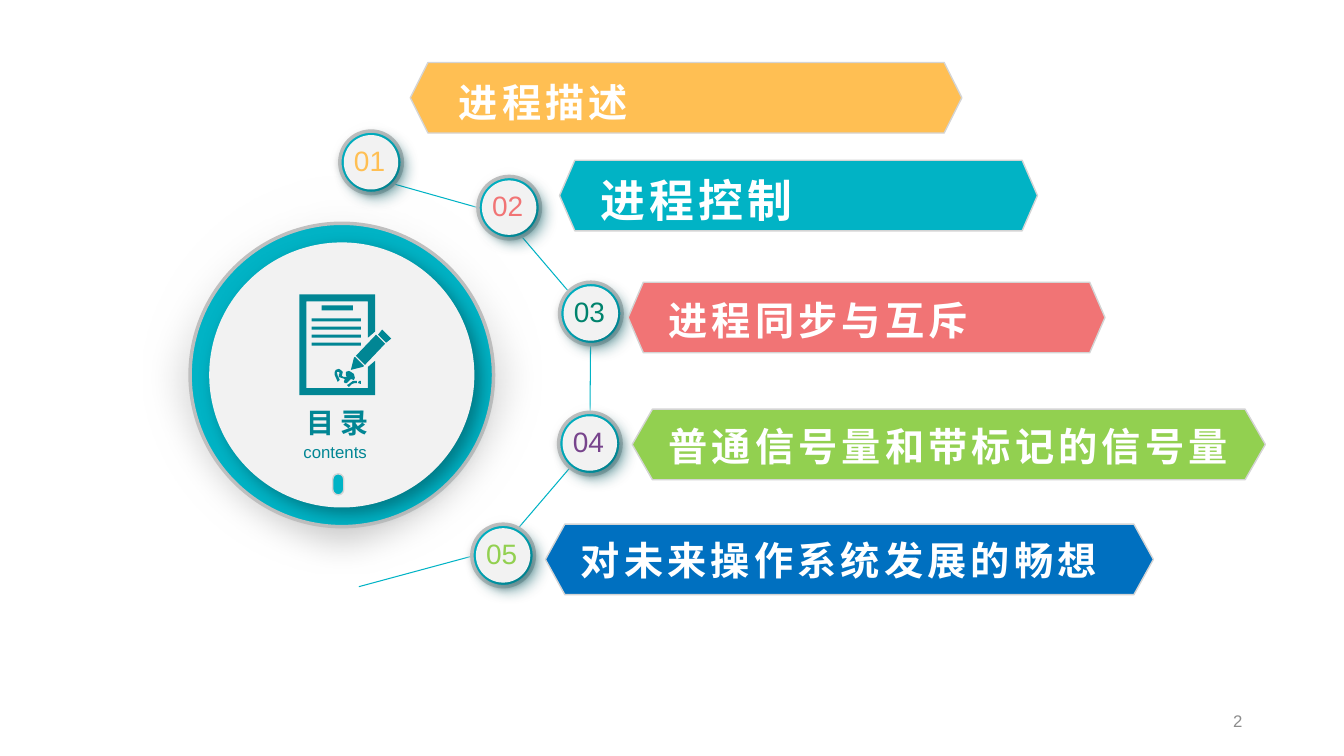
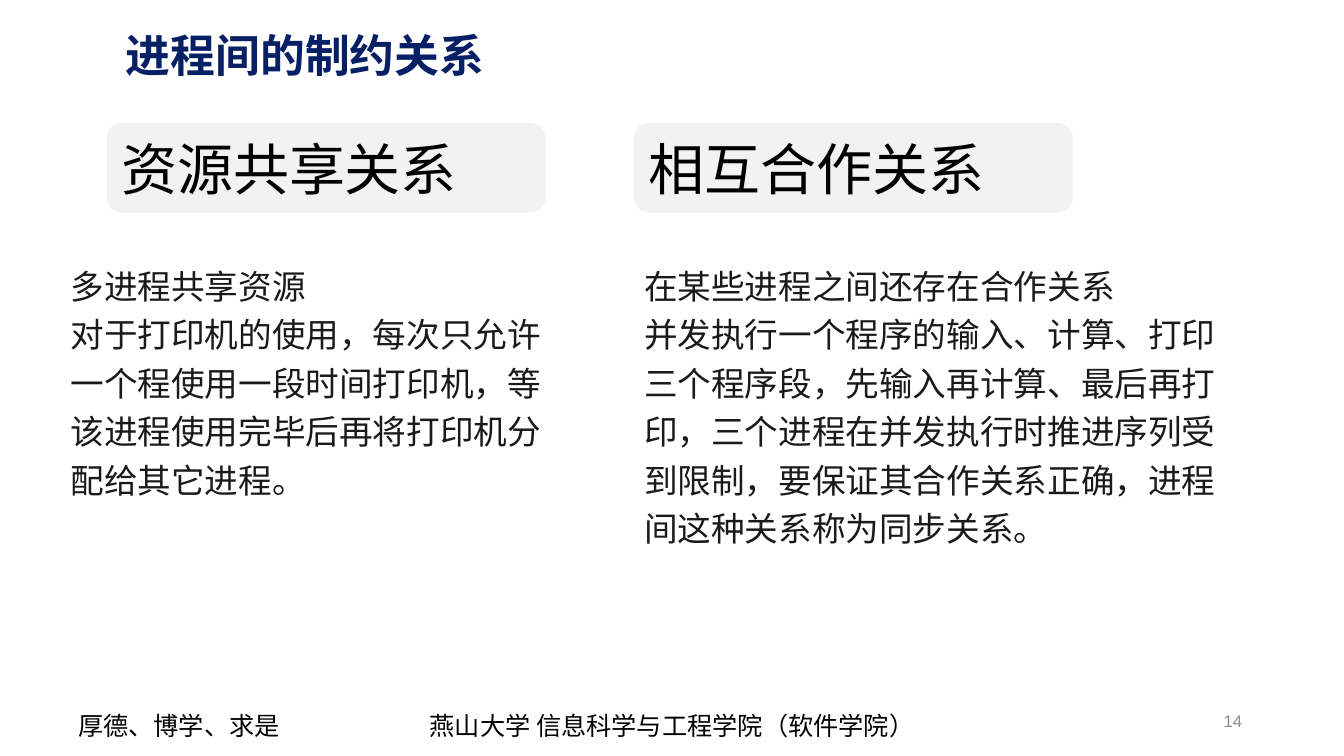
import pptx
import pptx.util
import pptx.dml.color
import pptx.enum.shapes
import pptx.enum.text
import pptx.oxml.ns
import lxml.etree

Inches, Pt = pptx.util.Inches, pptx.util.Pt
Kind = pptx.enum.shapes.MSO_SHAPE
Align = pptx.enum.text.PP_ALIGN
Anchor = pptx.enum.text.MSO_ANCHOR
qn = pptx.oxml.ns.qn

# Shared look
TEAL, INK, PALE, GREY = "01B3C5", "018694", "F2F2F2", "BFBFBF"
WHITE, BLACK, NAVY, BODY = "FFFFFF", "000000", "071F65", "1A1A1A"
EDGE, SHADE, PAGE = "D4D4D4", "005962", "8C8C8C"
SANS, CJK, HEAD = "Arial", "Noto Sans CJK SC", "Montserrat"

# Agenda: number, its colour, disc centre, band colour, band left, top, width,
# title, title offset in the band, title size
AGENDA = [
    ("01", "FFBF53", (3.68, 1.61), "FFBF53", (4.07, 0.62, 5.47),
     "进程描述", (0.48, 0.16), 28),
    ("02", "F17475", (5.05, 2.06), TEAL, (5.55, 1.59, 4.74),
     "进程控制", (0.41, 0.12), 32),
    ("03", "00836D", (5.86, 3.11), "F17475", (6.23, 2.80, 4.73),
     "进程同步与互斥", (0.40, 0.14), 28),
    ("04", "77448C", (5.85, 4.40), "92D050", (6.27, 4.06, 6.28),
     "普通信号量和带标记的信号量", (0.36, 0.13), 28),
    ("05", "92D050", (4.99, 5.51), "0070C0", (5.41, 5.20, 6.03),
     "对未来操作系统发展的畅想", (0.35, 0.12), 28),
]
TRACK = [(3.57, 1.73), (4.99, 2.13), (5.86, 3.15),
         (5.85, 4.41), (4.97, 5.44), (3.56, 5.82)]
HUB = (3.39, 3.72)

# Document icon: sheet, pen parts and signature
SHEET = [(3.65, 3.64), (3.65, 3.85), (3.04, 3.85), (3.04, 2.99), (3.65, 2.99),
         (3.65, 3.35), (3.72, 3.29), (3.72, 2.92), (2.97, 2.92), (2.97, 3.92),
         (3.72, 3.92), (3.72, 3.58)]
PEN = [
    [(3.79, 3.27), (3.75, 3.32), (3.83, 3.40), (3.88, 3.36)],
    [(3.53, 3.53), (3.62, 3.62), (3.82, 3.41), (3.73, 3.32)],
    [(3.61, 3.63), (3.52, 3.54), (3.51, 3.55), (3.48, 3.67), (3.60, 3.64)],
]
SIGN = [
    [(3.42, 3.80), (3.44, 3.80), (3.48, 3.76), (3.51, 3.77), (3.52, 3.75),
     (3.51, 3.71), (3.48, 3.69), (3.46, 3.68), (3.43, 3.69), (3.43, 3.72),
     (3.44, 3.74), (3.41, 3.74), (3.39, 3.73), (3.40, 3.69), (3.38, 3.67),
     (3.36, 3.66), (3.33, 3.67), (3.32, 3.69), (3.32, 3.72), (3.35, 3.79),
     (3.37, 3.77), (3.35, 3.73), (3.34, 3.69), (3.36, 3.69), (3.37, 3.70),
     (3.36, 3.72), (3.36, 3.74), (3.39, 3.75), (3.42, 3.76), (3.41, 3.79)],
    [(3.54, 3.80), (3.54, 3.78), (3.50, 3.78), (3.46, 3.81), (3.44, 3.82),
     (3.46, 3.84), (3.49, 3.81), (3.52, 3.80)],
    [(3.58, 3.81), (3.58, 3.78), (3.56, 3.78), (3.55, 3.80)],
]

# Relations: heading, left of heading, left and size of body, paragraphs
TITLE = "进程间的制约关系"
PARTS = [
    ("资源共享关系", 1.06, (0.60, 5.11, 2.52),
     ["多进程共享资源",
      "对于打印机的使用，每次只允许一个程使用一段时间打印机，"
      "等该进程使用完毕后再将打印机分配给其它进程。"]),
    ("相互合作关系", 6.29, (6.29, 6.03, 3.01),
     ["在某些进程之间还存在合作关系",
      "并发执行一个程序的输入、计算、打印三个程序段，先输入再计算、"
      "最后再打印，三个进程在并发执行时推进序列受到限制，"
      "要保证其合作关系正确，进程间这种关系称为同步关系。"]),
]
FOOTER = [("厚德、博学、求是", 0.40, 2.75),
          ("燕山大学 信息科学与工程学院（软件学院）", 3.48, 6.37)]


def color(code):
    return pptx.dml.color.RGBColor.from_string(code)


def paint(shape, fill=None, line=None, width=1):
    """Set fill and outline, and drop the theme shadow."""
    shape.shadow.inherit = False
    if fill:
        shape.fill.solid()
        shape.fill.fore_color.rgb = color(fill)
    else:
        shape.fill.background()
    if line:
        shape.line.color.rgb = color(line)
        shape.line.width = Pt(width)
    else:
        shape.line.fill.background()
    return shape


def effect(shape, tag, **attrs):
    """Add one effect to the shape's effect list."""
    root = shape._element.spPr.find(qn("a:effectLst"))
    node = lxml.etree.SubElement(root, qn(tag))
    for name, value in attrs.items():
        node.set(name, str(value))
    return node


def write(shape, paras, size, code, font=SANS, bold=False, align=Align.LEFT,
          anchor=Anchor.TOP, inset=None, wrap=True, lead=None, track=0):
    """Fill a shape's text frame, one run per paragraph."""
    frame = shape.text_frame
    frame.word_wrap = wrap
    frame.vertical_anchor = anchor
    if inset is not None:
        frame.margin_left = frame.margin_right = Inches(inset)
        frame.margin_top = frame.margin_bottom = Inches(inset)
    for i, text in enumerate(paras):
        para = frame.paragraphs[0] if i == 0 else frame.add_paragraph()
        para.alignment = align
        if lead:
            para.line_spacing = lead
        run = para.add_run()
        run.text = text
        run.font.size = Pt(size)
        run.font.bold = bold
        run.font.color.rgb = color(code)
        run.font.name = font
        props = run._r.get_or_add_rPr()
        if track:
            props.set("spc", str(track * 100))
        lxml.etree.SubElement(props, qn("a:ea")).set("typeface", CJK)


def label(slide, x, y, w, h, paras, size, code, **style):
    box = slide.shapes.add_textbox(Inches(x), Inches(y), Inches(w), Inches(h))
    write(box, paras, size, code, **style)


def number(slide, text):
    label(slide, 9.42, 6.95, 3, 0.4, [text], 12, PAGE,
          align=Align.RIGHT, anchor=Anchor.MIDDLE)


def outline(slide, loops, close=True):
    """Draw one freeform from lists of points in inches."""
    pen = None
    for loop in loops:
        pts = [(Inches(x), Inches(y)) for x, y in loop]
        if pen is None:
            pen = slide.shapes.build_freeform(*pts[0])
        else:
            pen.move_to(*pts[0])
        pen.add_line_segments(pts[1:], close=close)
    return pen.convert_to_shape()


def block(slide, kind, x, y, w, h, fill, line=None, width=1):
    shape = slide.shapes.add_shape(
        kind, Inches(x), Inches(y), Inches(w), Inches(h))
    return paint(shape, fill, line, width)


def round_at(slide, mid, size, fill, line=None, width=1):
    return block(slide, Kind.OVAL, mid[0] - size / 2, mid[1] - size / 2,
                 size, size, fill, line, width)


def disc(slide, mid, halo, ring, face, blur):
    """Soft grey halo, teal ring and pale face around one centre."""
    glow = round_at(slide, mid, halo, WHITE)
    glow.fill.gradient()
    glow.fill.gradient_angle = 270
    for stop, code in zip(glow.fill.gradient_stops, (WHITE, GREY)):
        stop.color.rgb = color(code)
    effect(glow, "a:softEdge", rad=Inches(blur))
    round_at(slide, mid, ring, TEAL, GREY, 2.5)
    top = round_at(slide, mid, face, PALE)
    node = effect(top, "a:outerShdw", blurRad=Pt(12), dist=Pt(6),
                  dir=45 * 60000, algn="tl", rotWithShape=0)
    tint = lxml.etree.SubElement(node, qn("a:srgbClr"))
    tint.set("val", SHADE)
    lxml.etree.SubElement(tint, qn("a:alpha")).set("val", "64000")


def band(slide, x, y, w, fill, h=0.7):
    """Bar with both ends pointed."""
    tip = w * 0.032
    loop = [(x + tip, y + h), (x, y + h / 2), (x + tip, y),
            (x + w - tip, y), (x + w, y + h / 2), (x + w - tip, y + h)]
    paint(outline(slide, [loop]), fill, EDGE)


def bar(x, y, w, h):
    return [(x, y), (x + w, y), (x + w, y + h), (x, y + h)]


def agenda(slide):
    paint(outline(slide, [TRACK], close=False), None, TEAL, 0.75)

    # Hub with icon and captions
    disc(slide, HUB, 4.04, 3.01, 2.63, 0.35)
    pill = block(slide, Kind.ROUNDED_RECTANGLE, 3.3, 4.7, 0.11, 0.21,
                 TEAL, EDGE)
    pill.adjustments[0] = 0.5
    rules = [bar(3.09, 3.16 + 0.08 * i, 0.49, 0.03) for i in range(4)]
    icon = [SHEET, bar(3.19, 3.03, 0.31, 0.05)] + rules + PEN + SIGN
    paint(outline(slide, icon), INK)
    label(slide, 3.03, 4.02, 0.64, 0.34, ["目 录"], 20, INK, bold=True,
          align=Align.CENTER, inset=0, wrap=False)
    label(slide, 3.01, 4.38, 0.63, 0.2, ["contents"], 12, INK,
          inset=0, wrap=False)

    # Numbered discs and their bands
    for num, code, mid, fill, (x, y, w), text, (dx, dy), size in AGENDA:
        disc(slide, mid, 0.82, 0.62, 0.54, 0.07)
        label(slide, mid[0] - 0.41, mid[1] - 0.24, 0.79, 0.44, [num], 20,
              code, align=Align.CENTER)
        band(slide, x, y, w, fill)
        label(slide, x + dx, y + dy, w - 2 * dx, 0.47, [text], size, WHITE,
              bold=True, inset=0, wrap=False, track=3)
    number(slide, "2")


def relations(slide):
    label(slide, 1.15, 0.09, 12.09, 0.77, [TITLE], 32, NAVY, font=HEAD,
          bold=True, anchor=Anchor.BOTTOM, lead=0.9)
    for text, x, w in FOOTER:
        label(slide, x, 7, w, 0.4, [text], 18, BLACK, font=CJK,
              align=Align.CENTER)
    number(slide, "14")

    # Two columns: heading box above body text
    for head, x, (left, w, h), paras in PARTS:
        box = block(slide, Kind.ROUNDED_RECTANGLE, x, 1.22, 4.35, 0.89, PALE)
        write(box, [head], 40, BLACK, anchor=Anchor.MIDDLE)
        label(slide, left, 2.51, w, h, paras, 24, BODY, font=CJK, lead=1.2)


def main():
    deck = pptx.Presentation()
    deck.slide_width, deck.slide_height = Inches(13.33), Inches(7.5)
    for build in (agenda, relations):
        build(deck.slides.add_slide(deck.slide_layouts[6]))
    deck.save("out.pptx")


if __name__ == "__main__":
    main()
